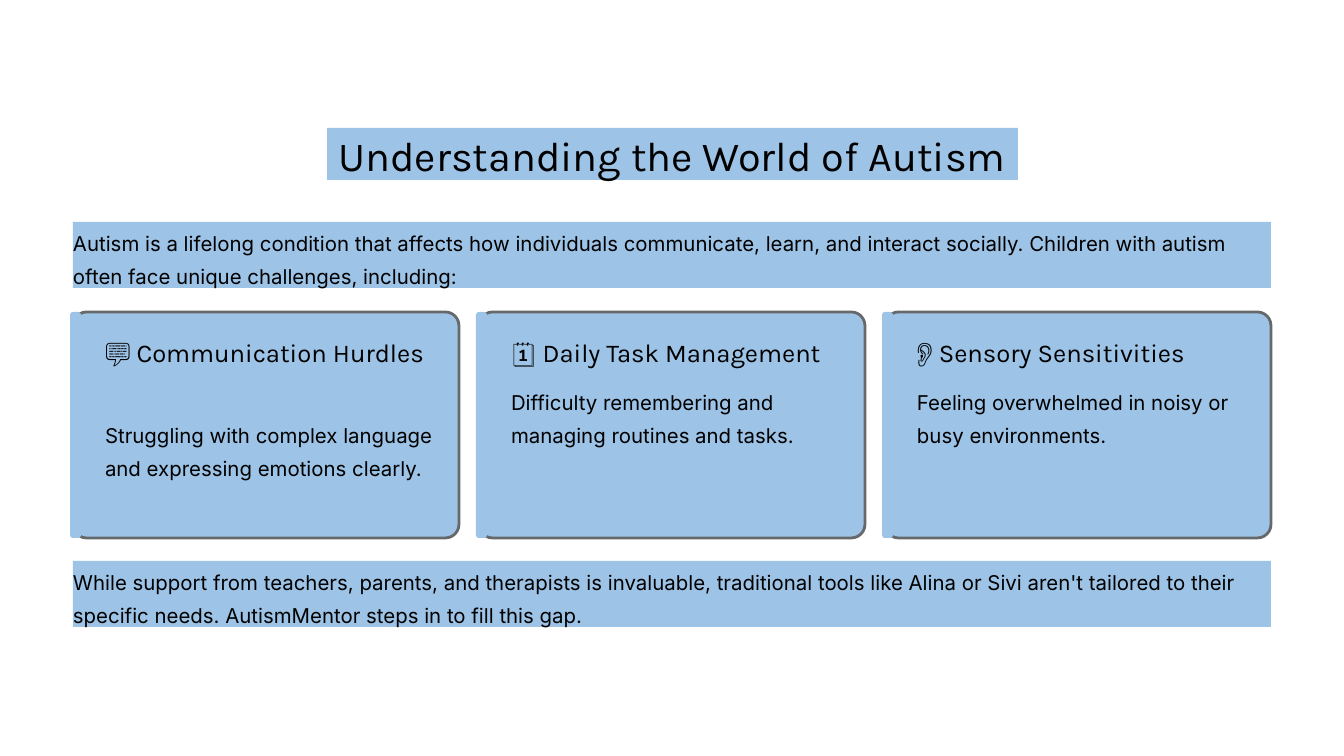
from dataclasses import dataclass

from pptx import Presentation, util as u
from pptx.dml.color import RGBColor
from pptx.enum import shapes, text

# Content
TITLE = "Understanding the World of Autism"
INTRO = ("Autism is a lifelong condition that affects how individuals communicate, learn, "
         "and interact socially. Children with autism often face unique challenges, including:")
CLOSING = ("While support from teachers, parents, and therapists is invaluable, traditional "
           "tools like Alina or Sivi aren't tailored to their specific needs. "
           "AutismMentor steps in to fill this gap.")
# heading, heading width, heading lines, body, body lines
CARDS = [
    ("💬 Communication Hurdles", 330, 2,
     "Struggling with complex language and expressing emotions clearly.", 3),
    ("🗓️ Daily Task Management", 328, 1,
     "Difficulty remembering and managing routines and tasks.", 2),
    ("👂 Sensory Sensitivities", 293, 1,
     "Feeling overwhelmed in noisy or busy environments.", 2),
]


@dataclass(frozen=True)
class Theme:
    panel: RGBColor = RGBColor(0x9D, 0xC3, 0xE6)
    border: RGBColor = RGBColor(0x65, 0x69, 0x6B)
    ink: RGBColor = RGBColor(0, 0, 0)
    # font, size, line spacing
    title: tuple = ("Karla", 35.5, 44.5)
    heading: tuple = ("Karla", 22, 27.5)
    body: tuple = ("Inter", 17.5, 28.5)


THEME = Theme()

# Layout in px
LEFT, WIDTH = 73, 1198
CARD_TOP, CARD_W, CARD_H, CARD_PITCH = 312, 386, 226, 406
PAD, HEAD_TOP, HEAD_LINE, BODY_LINE, HEAD_GAP = 32, 336, 33, 33, 12
BODY_W = 330


def px(n):
    return round(n * 914400 / 84)


def write(sp, words, style=THEME.body, align=text.PP_ALIGN.LEFT, wrap=True):
    font, size, spacing = style
    tf = sp.text_frame
    tf.margin_left = tf.margin_top = tf.margin_right = tf.margin_bottom = 0
    tf.word_wrap = wrap
    tf.auto_size = text.MSO_AUTO_SIZE.NONE
    tf.vertical_anchor = text.MSO_ANCHOR.TOP
    p = tf.paragraphs[0]
    p.alignment = align
    p.line_spacing = u.Pt(spacing)
    p.space_before = u.Pt(0)
    r = p.add_run()
    r.text = words
    r.font.name = font
    r.font.size = u.Pt(size)
    r.font.color.rgb = THEME.ink


def panel(s, x, y, w, h, radius=None, border=False):
    kind = shapes.MSO_SHAPE.RECTANGLE if radius is None else shapes.MSO_SHAPE.ROUNDED_RECTANGLE
    sp = s.shapes.add_shape(kind, px(x), px(y), px(w), px(h))
    sp.shadow.inherit = False
    if radius is not None:
        sp.adjustments[0] = radius
    sp.fill.solid()
    sp.fill.fore_color.rgb = THEME.panel
    if border:
        sp.line.color.rgb = THEME.border
        sp.line.width = u.Pt(2.4)
    else:
        sp.line.fill.background()
    return sp


def card(s, x, heading, head_w, head_lines, body, body_lines):
    panel(s, x, CARD_TOP, CARD_W, CARD_H, radius=0.06, border=True)
    panel(s, x - 3, CARD_TOP, 11, CARD_H, radius=0.28)
    head_h = head_lines * HEAD_LINE
    write(panel(s, x + PAD, HEAD_TOP, head_w, head_h), heading,
          style=THEME.heading, wrap=head_lines > 1)
    write(panel(s, x + PAD, HEAD_TOP + head_h + HEAD_GAP, BODY_W, body_lines * BODY_LINE), body)


def main():
    prs = Presentation()
    prs.slide_width, prs.slide_height = px(1344), px(756)
    s = prs.slides.add_slide(prs.slide_layouts[5])

    # Title
    title = s.shapes.title
    title.left, title.top, title.width, title.height = px(327), px(128), px(691), px(52)
    title.fill.solid()
    title.fill.fore_color.rgb = THEME.panel
    write(title, TITLE, style=THEME.title, align=text.PP_ALIGN.CENTER, wrap=False)

    # Introduction, cards and closing
    write(panel(s, LEFT, 222, WIDTH, 66), INTRO)
    for i, content in enumerate(CARDS):
        card(s, LEFT + i * CARD_PITCH, *content)
    write(panel(s, LEFT, 561, WIDTH, 66), CLOSING)

    prs.save("out.pptx")


if __name__ == "__main__":
    main()
